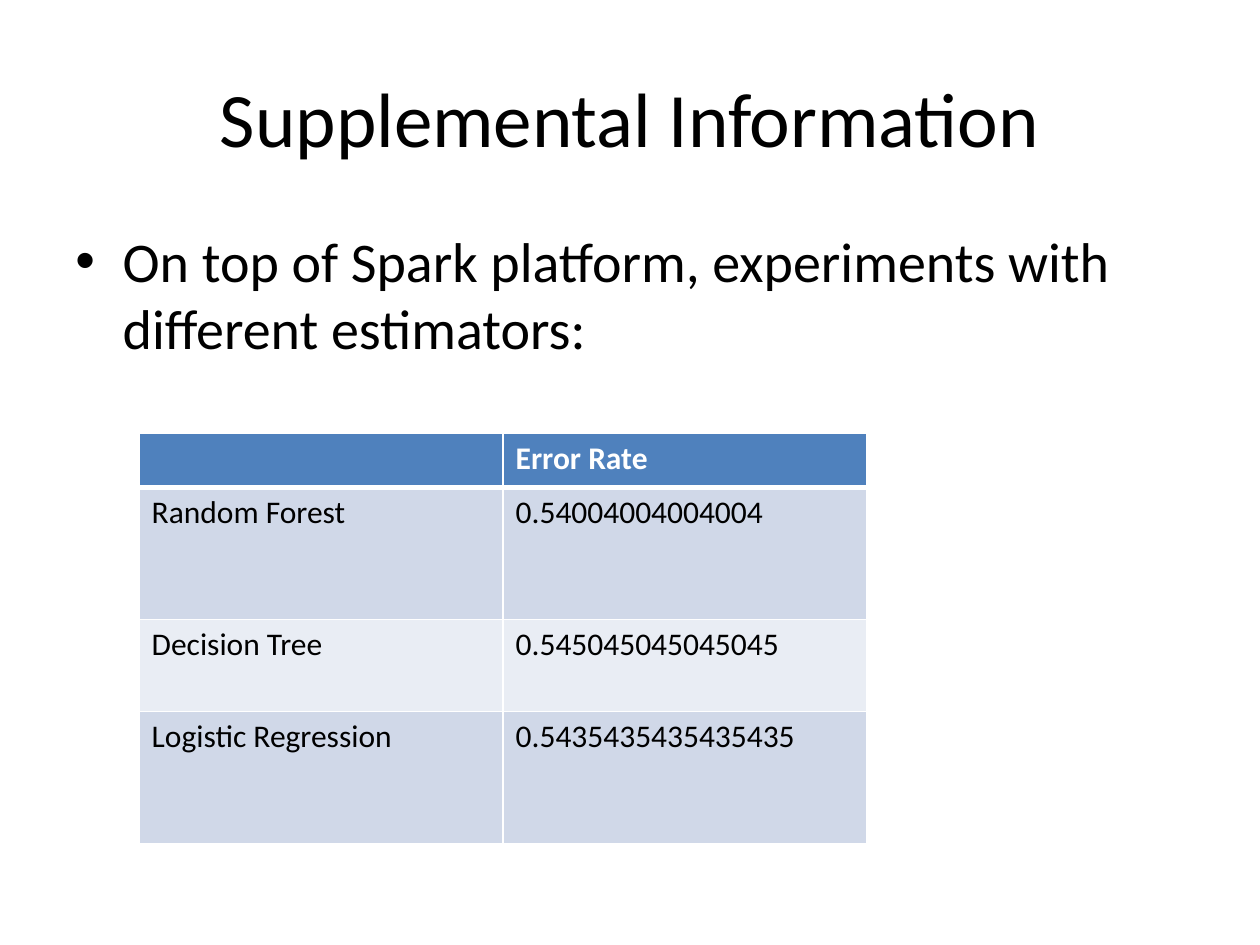
import dataclasses

import lxml.etree
import pptx
import pptx.dml.color
import pptx.enum.text
import pptx.oxml.ns
import pptx.util

Pt = pptx.util.Pt
qn = pptx.oxml.ns.qn


@dataclasses.dataclass(frozen=True)
class Theme:
    font: str = "Calibri"
    ink: str = "000000"
    paper: str = "FFFFFF"
    header: str = "4F81BD"
    bands: tuple = ("D0D8E8", "E9EDF4")
    title_size: float = 44
    body_size: float = 32
    table_size: float = 18
    rule: float = 1
    header_rule: float = 3


THEME = Theme()


def rgb(value):
    return pptx.dml.color.RGBColor.from_string(value)


def add_run(paragraph, text, size, color, bold=False):
    run = paragraph.add_run()
    run.text = text
    run.font.name = THEME.font
    run.font.size = Pt(size)
    run.font.bold = bold
    run.font.color.rgb = rgb(color)


def add_frame(slide, box, anchor):
    frame = slide.shapes.add_textbox(*map(Pt, box)).text_frame
    frame.word_wrap = True
    frame.vertical_anchor = anchor
    return frame


def add_title(slide, box, text):
    heading = add_frame(slide, box, pptx.enum.text.MSO_ANCHOR.MIDDLE).paragraphs[0]
    heading.alignment = pptx.enum.text.PP_ALIGN.CENTER
    add_run(heading, text, THEME.title_size, THEME.ink)


def add_bullets(slide, box, points):
    frame = add_frame(slide, box, pptx.enum.text.MSO_ANCHOR.TOP)
    for index, text in enumerate(points):
        point = frame.add_paragraph() if index else frame.paragraphs[0]
        point.space_before = Pt(THEME.body_size * 0.2)
        properties = point._p.get_or_add_pPr()
        properties.set("marL", str(Pt(27)))
        properties.set("indent", str(-Pt(27)))
        lxml.etree.SubElement(properties, qn("a:buFont"), typeface="Arial")
        lxml.etree.SubElement(properties, qn("a:buChar"), char="•")
        add_run(point, text, THEME.body_size, THEME.ink)


def set_borders(cell, widths):
    properties = cell._tc.get_or_add_tcPr()
    for index, (side, width) in enumerate(widths.items()):
        line = lxml.etree.Element(qn(f"a:ln{side}"), w=str(Pt(width)))
        fill = lxml.etree.SubElement(line, qn("a:solidFill"))
        lxml.etree.SubElement(fill, qn("a:srgbClr"), val=THEME.paper)
        properties.insert(index, line)


def add_error_table(slide, box, rows, heights):
    left, top, width, height = box
    columns = len(rows[0])
    table = slide.shapes.add_table(len(rows), columns, *map(Pt, box)).table
    for column in table.columns:
        column.width = Pt(width / columns)
    for r, (row, share) in enumerate(zip(rows, heights)):
        table.rows[r].height = Pt(height * share / sum(heights))
        is_header = r == 0
        for c, text in enumerate(row):
            cell = table.cell(r, c)
            cell.fill.solid()
            cell.fill.fore_color.rgb = rgb(
                THEME.header if is_header else THEME.bands[(r - 1) % 2])
            set_borders(cell, {
                "L": THEME.rule,
                "R": THEME.rule,
                "T": THEME.header_rule if r == 1 else THEME.rule,
                "B": THEME.header_rule if is_header else THEME.rule,
            })
            if text:
                add_run(cell.text_frame.paragraphs[0], text, THEME.table_size,
                        THEME.paper if is_header else THEME.ink, is_header)


def build():
    deck = pptx.Presentation()
    deck.slide_width, deck.slide_height = Pt(720), Pt(540)
    slide = deck.slides.add_slide(deck.slide_layouts[6])
    add_title(slide, (36, 21.6, 648, 90), "Supplemental Information")
    add_bullets(slide, (36, 126, 648, 356.4), [
        "On top of Spark platform, experiments with different estimators:",
    ])
    add_error_table(slide, (79.5, 247.5, 416, 234.5), [
        ("", "Error Rate"),
        ("Random Forest", "0.54004004004004"),
        ("Decision Tree", "0.545045045045045"),
        ("Logistic Regression", "0.5435435435435435"),
    ], (31, 75.5, 52.5, 75.5))
    deck.save("out.pptx")


build()
